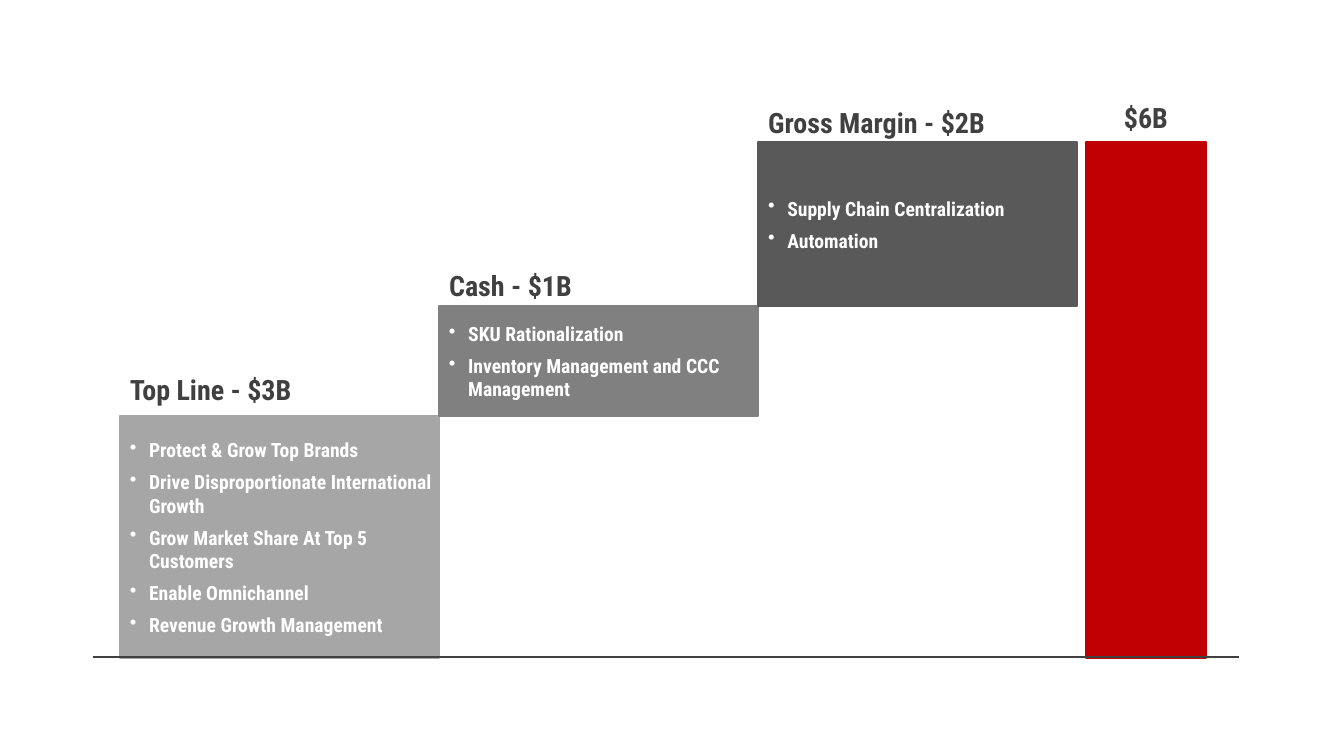
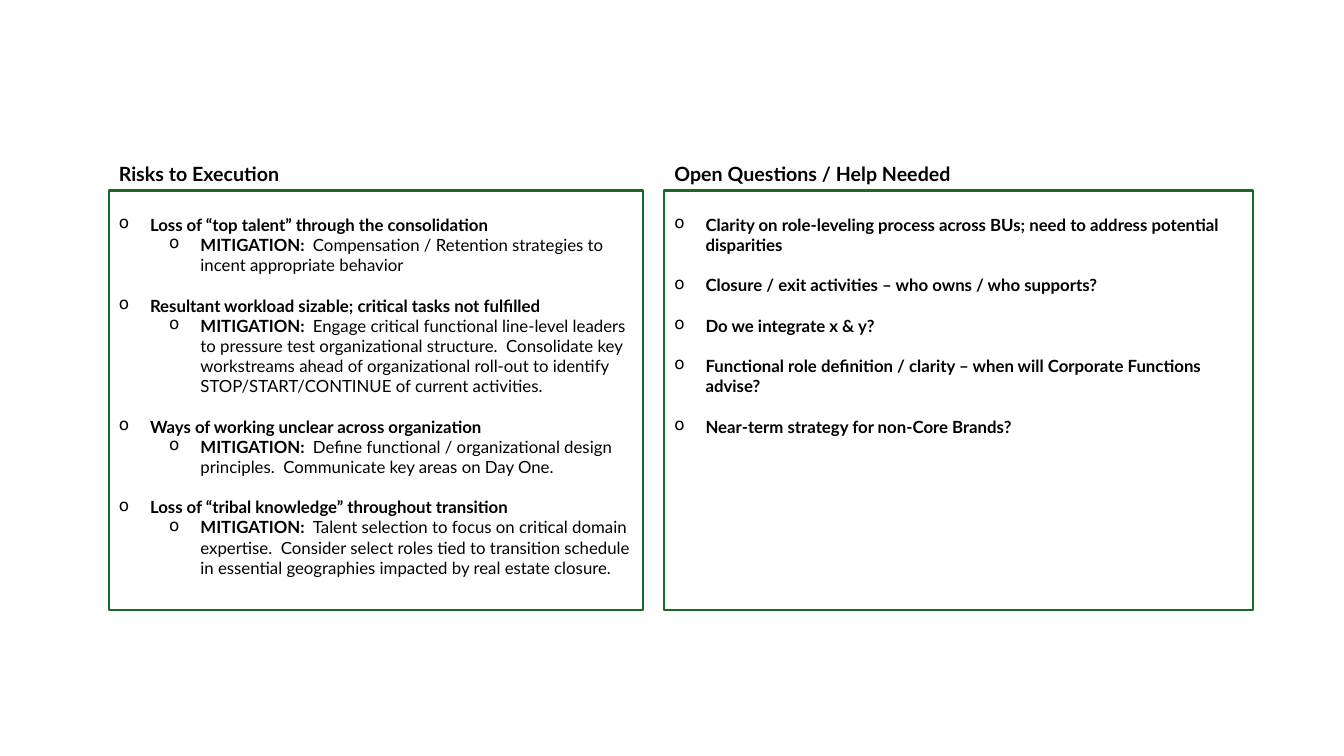
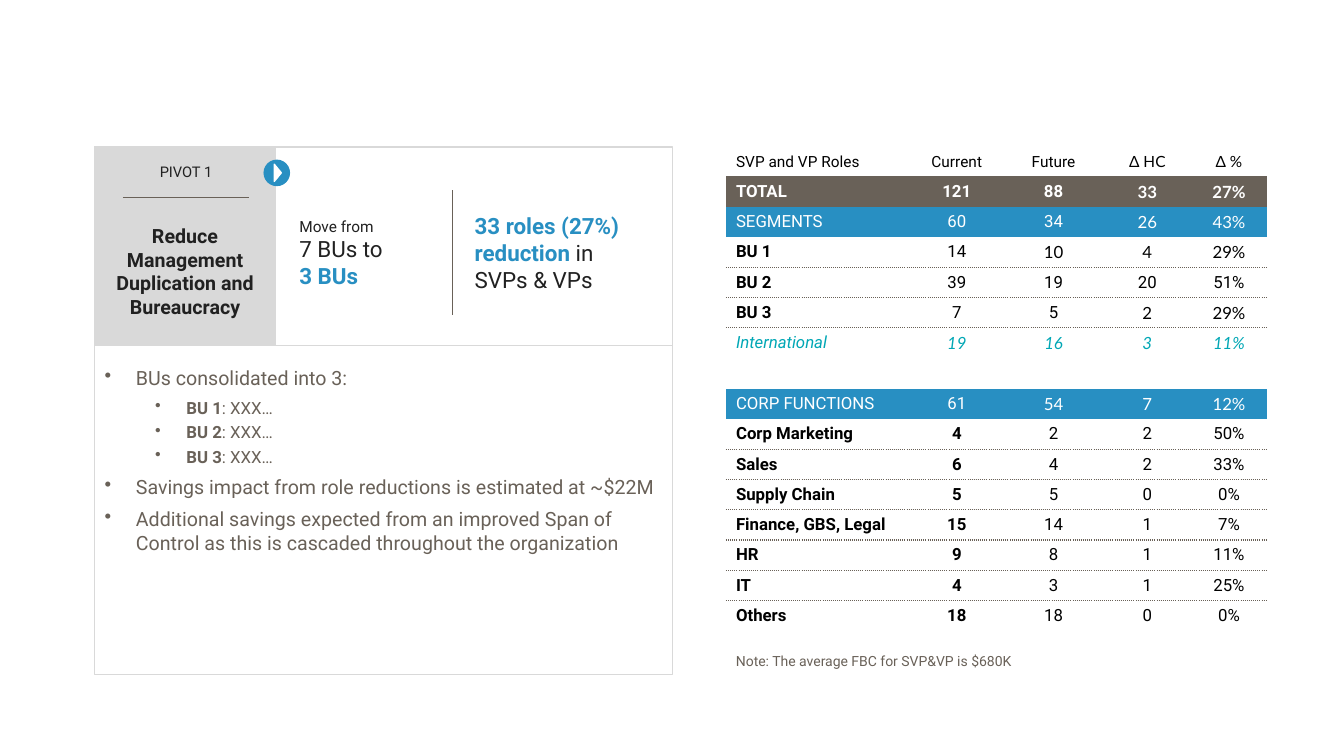
from lxml import etree
from pptx import Presentation
from pptx.dml.color import RGBColor
from pptx.enum.shapes import MSO_CONNECTOR, MSO_SHAPE
from pptx.enum.text import MSO_ANCHOR, PP_ALIGN
from pptx.oxml.ns import qn
from pptx.util import Inches, Pt

RECT, OVAL, TRIANGLE = MSO_SHAPE.RECTANGLE, MSO_SHAPE.OVAL, MSO_SHAPE.ISOSCELES_TRIANGLE
TOP, MIDDLE = MSO_ANCHOR.TOP, MSO_ANCHOR.MIDDLE
LEFT, CENTER = PP_ALIGN.LEFT, PP_ALIGN.CENTER
LATO, ROBOTO, CONDENSED = "Lato", "Roboto", "Roboto Condensed"

BLACK = RGBColor(0x00, 0x00, 0x00)
WHITE = RGBColor(0xFF, 0xFF, 0xFF)
CHARCOAL = RGBColor(0x40, 0x40, 0x40)
INK = RGBColor(0x21, 0x21, 0x21)
RED = RGBColor(0xC0, 0x00, 0x00)
GREEN = RGBColor(0x19, 0x6B, 0x24)
BLUE = RGBColor(0x28, 0x8F, 0xC2)
TEAL = RGBColor(0x00, 0xA7, 0xB5)
TAUPE = RGBColor(0x69, 0x61, 0x58)
SILVER = RGBColor(0xD9, 0xD9, 0xD9)
STEP_GREYS = [RGBColor(v, v, v) for v in (0xA6, 0x80, 0x59)]


# Shared elements
def add_text(tf, runs, size=12, font=ROBOTO, color=BLACK, bold=False, italic=False,
             align=LEFT, before=0, after=0, bullet=None, indent=0, hang=0, level=0):
    """Add one paragraph; runs is a string or a list of (text, overrides)."""
    p = tf.paragraphs[0]
    if p.runs:
        p = tf.add_paragraph()
    p.alignment, p.level = align, level
    p.space_before, p.space_after = Pt(before), Pt(after)
    if bullet:
        pPr = p._p.get_or_add_pPr()
        pPr.set("marL", str(Inches(indent)))
        pPr.set("indent", str(-Inches(hang)))
        etree.SubElement(pPr, qn("a:buChar")).set("char", bullet)
    base = dict(size=size, font=font, color=color, bold=bold, italic=italic)
    for text, changes in [(runs, {})] if isinstance(runs, str) else runs:
        look = {**base, **changes}
        r = p.add_run()
        r.text = text.rstrip("\n")
        r.font.size, r.font.name = Pt(look["size"]), look["font"]
        r.font.bold, r.font.italic = look["bold"], look["italic"]
        r.font.color.rgb = look["color"]
        if text.endswith("\n"):
            p.add_line_break()


def setup_frame(tf, anchor, pad=0.05):
    tf.word_wrap = True
    tf.vertical_anchor = anchor
    tf.margin_top = tf.margin_bottom = Inches(pad)
    return tf


def add_box(s, x, y, w, h, fill=None, line=None, width=1, shape=RECT, anchor=TOP, pad=0.05):
    sp = s.shapes.add_shape(shape, Inches(x), Inches(y), Inches(w), Inches(h))
    sp.shadow.inherit = False
    if fill is None:
        sp.fill.background()
    else:
        sp.fill.solid()
        sp.fill.fore_color.rgb = fill
    sp.line.color.rgb = fill if line is None else line
    sp.line.width = Pt(width)
    setup_frame(sp.text_frame, anchor, pad)
    return sp


def add_label(s, x, y, w, h, runs=None, anchor=TOP, **look):
    sp = s.shapes.add_textbox(Inches(x), Inches(y), Inches(w), Inches(h))
    tf = setup_frame(sp.text_frame, anchor)
    if runs:
        add_text(tf, runs, **look)
    return tf


def add_line(s, x1, y1, x2, y2, color, width):
    c = s.shapes.add_connector(MSO_CONNECTOR.STRAIGHT, Inches(x1), Inches(y1), Inches(x2), Inches(y2))
    c.line.color.rgb = color
    c.line.width = Pt(width)
    etree.SubElement(c._element.spPr, qn("a:effectLst"))


# Slide 1: value steps
STEPS = [  # title, height, title lift, initiatives
    ("Top Line - $3B", 2.4, 0.45,
     ["Protect & Grow Top Brands", "Drive Disproportionate International Growth",
      "Grow Market Share At Top 5 Customers", "Enable Omnichannel", "Revenue Growth Management"]),
    ("Cash - $1B", 1.09, 0.39, ["SKU Rationalization", "Inventory Management and CCC Management"]),
    ("Gross Margin - $2B", 1.63, 0.38, ["Supply Chain Centralization", "Automation"]),
]


def build_steps(s):
    left, step, base = 1.19, 3.165, 6.53
    heading = dict(anchor=MIDDLE, size=20, font=CONDENSED, color=CHARCOAL, bold=True, after=6)
    top = base
    for i, (title, height, lift, items) in enumerate(STEPS):
        x = left + i * step
        top -= height
        add_box(s, x, top, 3.16, height, STEP_GREYS[i], width=1.5)
        tf = add_label(s, x, top, 3.23, height, anchor=MIDDLE)
        for item in items:
            add_text(tf, item, size=14, font=CONDENSED, color=WHITE, bold=True, after=6,
                     bullet="•", indent=0.19, hang=0.19)
        add_label(s, x, top - lift, 3.08, 0.36, title, **heading)
    # Total bar and baseline
    add_box(s, 10.77, top, 1.19, base - top, RED, width=1.5)
    add_label(s, 10.77, top - 0.43, 1.19, 0.36, "$6B", align=CENTER, **heading)
    add_line(s, 0.92, base - 0.01, 12.29, base - 0.01, CHARCOAL, 1)


# Slide 2: risks and questions, each item with an optional mitigation
RISKS = [
    ("Loss of “top talent” through the consolidation",
     "Compensation / Retention strategies to incent appropriate behavior"),
    ("Resultant workload sizable; critical tasks not fulfilled",
     "Engage critical functional line-level leaders to pressure test organizational structure.  "
     "Consolidate key workstreams ahead of organizational roll-out to identify "
     "STOP/START/CONTINUE of current activities."),
    ("Ways of working unclear across organization",
     "Define functional / organizational design principles.  Communicate key areas on Day One."),
    ("Loss of “tribal knowledge” throughout transition",
     "Talent selection to focus on critical domain expertise.  Consider select roles tied to "
     "transition schedule in essential geographies impacted by real estate closure."),
]
QUESTIONS = [(question, None) for question in (
    "Clarity on role-leveling process across BUs; need to address potential disparities",
    "Closure / exit activities – who owns / who supports?",
    "Do we integrate x & y?",
    "Functional role definition / clarity – when will Corporate Functions advise?",
    "Near-term strategy for non-Core Brands?",
)]


def add_panel(s, x, w, title, items):
    add_label(s, x, 1.56, w, 0.28, title, size=14, font=LATO, bold=True)
    tf = add_box(s, x, 1.89, w, 4.16, WHITE, GREEN, 1.5, pad=0.24).text_frame
    mark = dict(font=LATO, bullet="o", hang=0.31)
    for i, (item, mitigation) in enumerate(items):
        add_text(tf, item, bold=True, indent=0.31, before=14.4 if i else 0, **mark)
        if mitigation:
            add_text(tf, [("MITIGATION:  ", dict(bold=True)), (mitigation, {})],
                     indent=0.81, level=1, **mark)


def build_risks(s):
    add_panel(s, 1.08, 5.3, "Risks to Execution", RISKS)
    add_panel(s, 6.59, 5.84, "Open Questions / Help Needed", QUESTIONS)


# Slide 3: role table
HEADER = dict(size=11)
TOTAL = dict(color=WHITE, fill=TAUPE, bold_cols=5)
SECTION = dict(color=WHITE, fill=BLUE)
UNIT = dict(bold_cols=1, rule=True)
SUBSET = dict(color=TEAL, italic=True)
FUNCTION = dict(bold_cols=2, rule=True)
LAST = dict(bold_cols=2)
ROLES = [  # row style, number of leading columns in Roboto, cells
    (HEADER, 3, ["SVP and VP Roles", "Current", "Future", "Δ HC", "Δ %"]),
    (TOTAL, 3, ["TOTAL", "121", "88", "33", "27%"]),
    (SECTION, 3, ["SEGMENTS", "60", "34", "26", "43%"]),
    (UNIT, 2, ["BU 1", "14", "10", "4", "29%"]),
    (UNIT, 5, ["BU 2", "39", "19", "20", "51%"]),
    (UNIT, 3, ["BU 3", "7", "5", "2", "29%"]),
    (SUBSET, 1, ["International", "19", "16", "3", "11%"]),
    ({}, 5, [""] * 5),
    (SECTION, 2, ["CORP FUNCTIONS", "61", "54", "7", "12%"]),
    (FUNCTION, 5, ["Corp Marketing", "4", "2", "2", "50%"]),
    (FUNCTION, 5, ["Sales", "6", "4", "2", "33%"]),
    (FUNCTION, 5, ["Supply Chain", "5", "5", "0", "0%"]),
    (FUNCTION, 5, ["Finance, GBS, Legal", "15", "14", "1", "7%"]),
    (FUNCTION, 5, ["HR", "9", "8", "1", "11%"]),
    (FUNCTION, 5, ["IT", "4", "3", "1", "25%"]),
    (LAST, 5, ["Others", "18", "18", "0", "0%"]),
]


def set_borders(cell, dotted):
    """Dot the named edges and clear the others."""
    tcPr = cell._tc.get_or_add_tcPr()
    for edge in ("lnL", "lnR", "lnT", "lnB"):
        ln = etree.SubElement(tcPr, qn("a:" + edge), w=str(Pt(1)))
        if edge in dotted:
            fill = etree.SubElement(ln, qn("a:solidFill"))
            etree.SubElement(fill, qn("a:srgbClr"), val=str(TAUPE))
            etree.SubElement(ln, qn("a:prstDash"), val="sysDot")
        else:
            etree.SubElement(ln, qn("a:noFill"))


def add_role_table(s):
    widths = [1.83, 0.92, 1, 0.86, 0.76]
    frame = s.shapes.add_table(len(ROLES), len(widths), Inches(7.2), Inches(1.46),
                               Inches(sum(widths)), Inches(4.78))
    table = frame.table
    table.first_row = table.horz_banding = False
    for col, width in zip(table.columns, widths):
        col.width = Inches(width)
    ruled_above = False
    for i, (style, roboto_cols, values) in enumerate(ROLES):
        table.rows[i].height = Inches(0.3 if i else 0.29)
        ruled = style.get("rule", False)
        dotted = ["lnT"] * ruled_above + ["lnB"] * ruled
        for j, value in enumerate(values):
            cell = table.cell(i, j)
            cell.vertical_anchor = MIDDLE
            set_borders(cell, dotted)
            if "fill" in style:
                cell.fill.solid()
                cell.fill.fore_color.rgb = style["fill"]
            else:
                cell.fill.background()
            if not value:
                cell.margin_top = cell.margin_bottom = 0
                continue
            add_text(cell.text_frame, value, size=style.get("size", 12),
                     font=ROBOTO if j < roboto_cols else LATO,
                     color=style.get("color", BLACK), bold=j < style.get("bold_cols", 0),
                     italic=style.get("italic", False), align=CENTER if j else LEFT)
        ruled_above = ruled


# Slide 3: pivot card
def add_pivot_card(s):
    x, y, w, h = 0.94, 1.46, 5.73, 1.97
    add_box(s, x, y, 1.79, h, SILVER)
    add_label(s, 1.22, 1.53, 1.25, 0.35, "PIVOT 1", anchor=MIDDLE, size=10.5, color=INK, align=CENTER)
    add_line(s, 1.22, 1.96, 2.47, 1.96, TAUPE, 0.5)
    add_label(s, x, 2.11, 1.79, 1.16, "Reduce Management Duplication and Bureaucracy",
              anchor=MIDDLE, size=14, color=INK, bold=True, align=CENTER)
    # Arrow badge
    add_box(s, 2.62, 1.59, 0.25, 0.25, BLUE, shape=OVAL)
    add_box(s, 2.67, 1.68, 0.17, 0.07, WHITE, shape=TRIANGLE).rotation = 90
    # Two key facts
    strong = dict(color=BLUE, bold=True)
    fact = dict(size=16, color=INK, after=3)
    add_label(s, 2.87, 2.1, 1.58, 0.82,
              [("Move from \n", dict(size=11)), ("7 BUs to \n", {}), ("3 BUs", strong)], **fact)
    add_label(s, 4.61, 2.06, 1.9, 0.91,
              [("33 roles (27%) reduction", strong), (" in SVPs & VPs", {})], **fact)
    add_line(s, 4.49, 1.89, 4.49, 3.13, TAUPE, 0.5)
    add_box(s, x, y, w, h, line=SILVER)


def add_savings(s):
    tf = add_box(s, 0.94, 3.43, 5.73, 3.26, line=SILVER, width=0.75, pad=0.2).text_frame
    mark = dict(color=TAUPE, bullet="•", hang=0.31)
    main_item = dict(size=14, after=6, indent=0.31, **mark)
    add_text(tf, "BUs consolidated into 3:", **main_item)
    for unit, after in (("BU 1", 3), ("BU 2", 3), ("BU 3", 6)):
        add_text(tf, [(unit, dict(bold=True)), (": XXX…", {})],
                 after=after, indent=0.81, level=1, **mark)
    for item in ("Savings impact from role reductions is estimated at ~$22M",
                 "Additional savings expected from an improved Span of Control "
                 "as this is cascaded throughout the organization"):
        add_text(tf, item, **main_item)


def build_pivot(s):
    add_role_table(s)
    add_savings(s)
    add_label(s, 7.2, 6.42, 5.21, 0.27, "Note: The average FBC for SVP&VP is $680K",
              size=10, color=TAUPE)
    add_pivot_card(s)


def main():
    prs = Presentation()
    prs.slide_width, prs.slide_height = Inches(13.33), Inches(7.5)
    for build in (build_steps, build_risks, build_pivot):
        build(prs.slides.add_slide(prs.slide_layouts[6]))
    prs.save("out.pptx")


if __name__ == "__main__":
    main()
